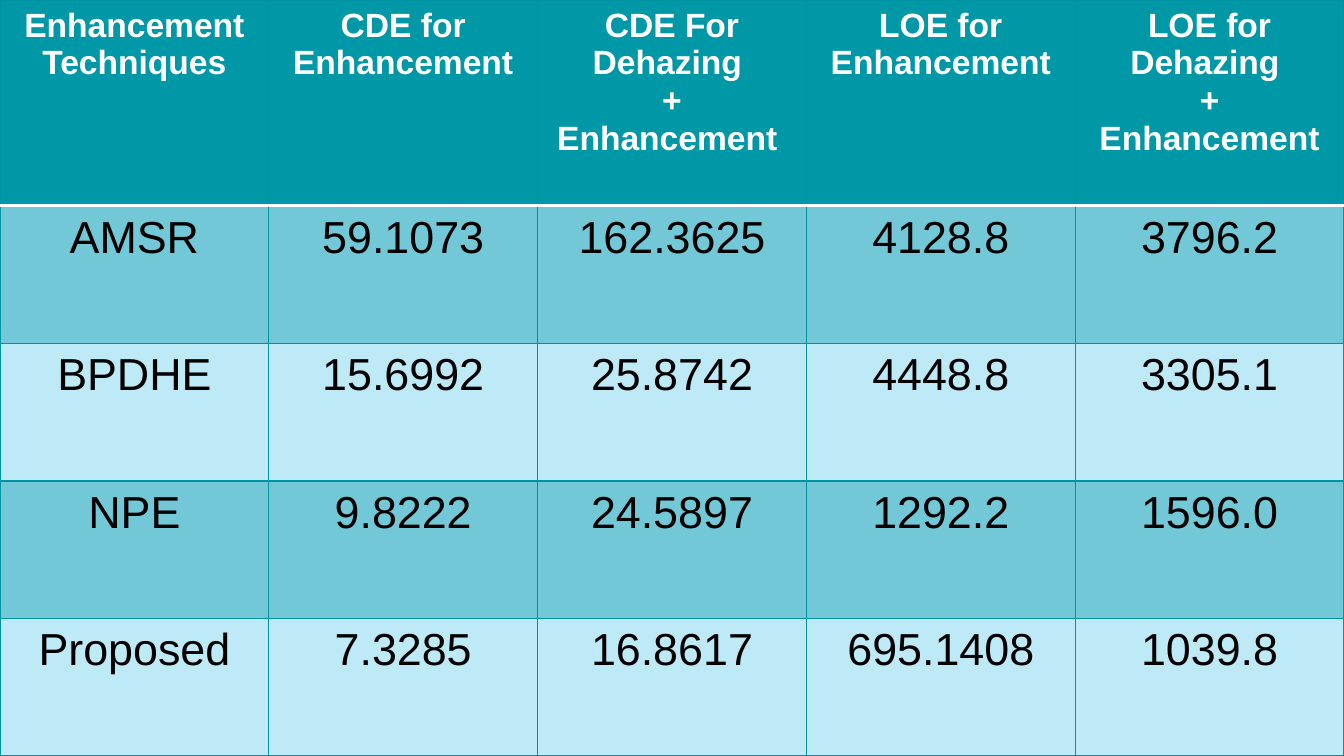
from lxml.etree import SubElement
from pptx import Presentation
from pptx.dml.color import RGBColor
from pptx.enum.text import PP_ALIGN as Align
from pptx.oxml.ns import qn
from pptx.util import Cm, Pt

WHITE = RGBColor(0xFF, 0xFF, 0xFF)
BLACK = RGBColor(0x00, 0x00, 0x00)
TEAL = RGBColor(0x00, 0x97, 0xA7)
GRID = RGBColor(0x00, 0x94, 0xA3)
DARK_BAND = RGBColor(0x72, 0xC8, 0xD6)
LIGHT_BAND = RGBColor(0xBE, 0xE9, 0xF7)

COLUMN_WIDTH = 5.08
HEADER_HEIGHT = 3.89
BODY_HEIGHT = 2.6

HEADERS = [
    "Enhancement Techniques",
    "CDE for Enhancement",
    "CDE For Dehazing \n+ Enhancement ",
    "LOE for Enhancement",
    "LOE for Dehazing \n+ Enhancement",
]
RESULTS = [
    ["AMSR", "59.1073", "162.3625", "4128.8", "3796.2"],
    ["BPDHE", "15.6992", "25.8742", "4448.8", "3305.1"],
    ["NPE", "9.8222", "24.5897", "1292.2", "1596.0"],
    ["Proposed", "7.3285", "16.8617", "695.1408", "1039.8"],
]


def write_text(frame, text, size=24, color=BLACK, bold=False, font="Arial"):
    """Fill a text frame with one centred paragraph per line of text."""
    for index, line in enumerate(text.split("\n")):
        para = frame.paragraphs[0] if index == 0 else frame.add_paragraph()
        para.alignment = Align.CENTER
        span = para.add_run()
        span.text = line
        span.font.name = font
        span.font.size = Pt(size)
        span.font.bold = bold
        span.font.color.rgb = color


class SlideBuilder:
    def __init__(self, page, grid_color=GRID, grid_width=0.75):
        self.page = page
        self.grid_color = grid_color
        self.grid_width = grid_width

    def table(self, rows, row_heights, column_width):
        columns = len(rows[0])
        frame = self.page.shapes.add_table(
            len(rows), columns, Cm(0), Cm(0),
            Cm(column_width * columns), Cm(sum(row_heights)))
        table = frame.table
        for column in table.columns:
            column.width = Cm(column_width)
        for row, height in zip(table.rows, row_heights):
            row.height = Cm(height)
        return table

    def cell(self, cell, text, fill, top=None, bottom=None, **text_format):
        """Style one cell; top and bottom override the grid as (color, width)."""
        grid = (self.grid_color, self.grid_width)
        sides = {"L": grid, "R": grid, "T": top or grid, "B": bottom or grid}
        for side, (color, width) in sides.items():
            self.border(cell, side, color, width)
        cell.fill.solid()
        cell.fill.fore_color.rgb = fill
        write_text(cell.text_frame, text, **text_format)

    def border(self, cell, side, color, width):
        properties = cell._tc.get_or_add_tcPr()
        line = SubElement(properties, qn(f"a:ln{side}"), w=str(Pt(width)))
        solid = SubElement(line, qn("a:solidFill"))
        SubElement(solid, qn("a:srgbClr"), val=str(color))


def main():
    deck = Presentation()
    deck.slide_width, deck.slide_height = Cm(25.4), Cm(14.29)
    builder = SlideBuilder(deck.slides.add_slide(deck.slide_layouts[6]))

    heights = [HEADER_HEIGHT] + [BODY_HEIGHT] * len(RESULTS)
    table = builder.table([HEADERS] + RESULTS, heights, COLUMN_WIDTH)
    header_rule = (WHITE, 2)

    for column, text in enumerate(HEADERS):
        builder.cell(table.cell(0, column), text, TEAL, bottom=header_rule,
                     size=18, color=WHITE, bold=True)
    for row, values in enumerate(RESULTS, start=1):
        fill = DARK_BAND if row % 2 else LIGHT_BAND
        top = header_rule if row == 1 else None
        for column, text in enumerate(values):
            builder.cell(table.cell(row, column), text, fill, top=top)

    deck.save("out.pptx")


if __name__ == "__main__":
    main()
